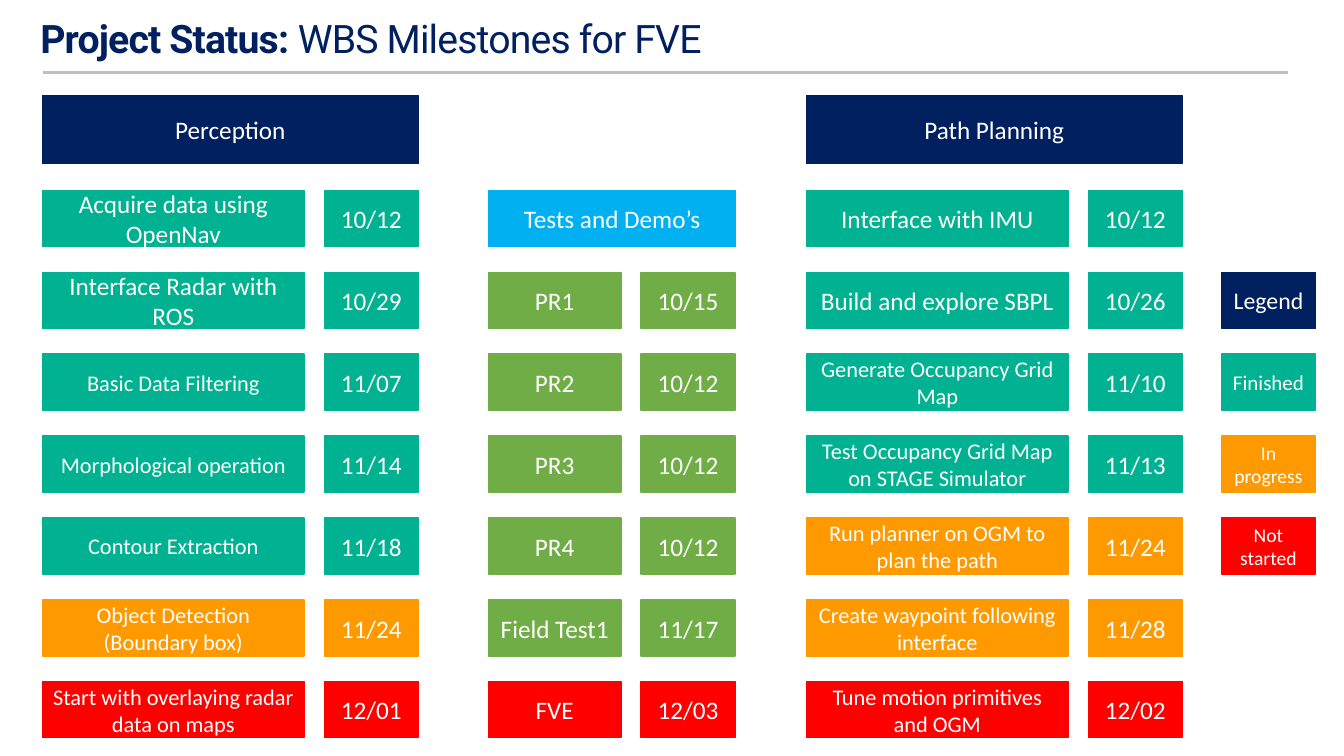
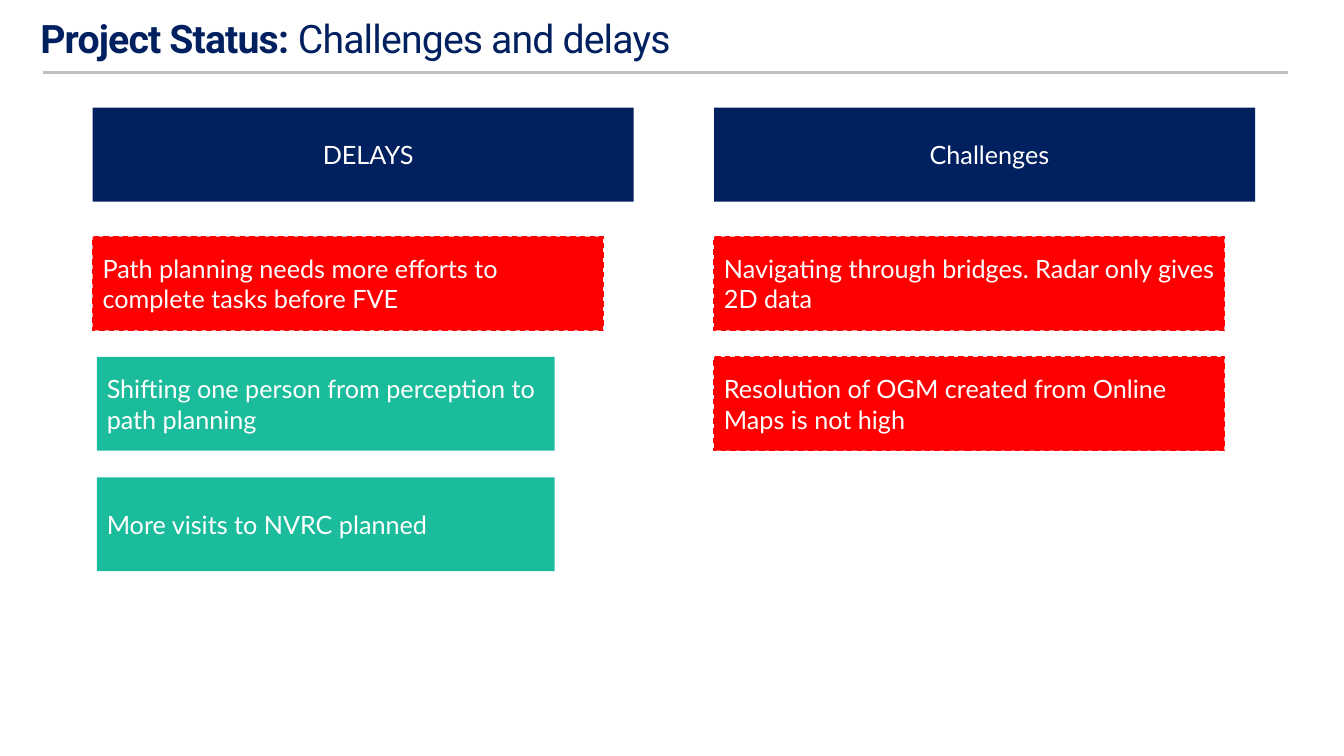
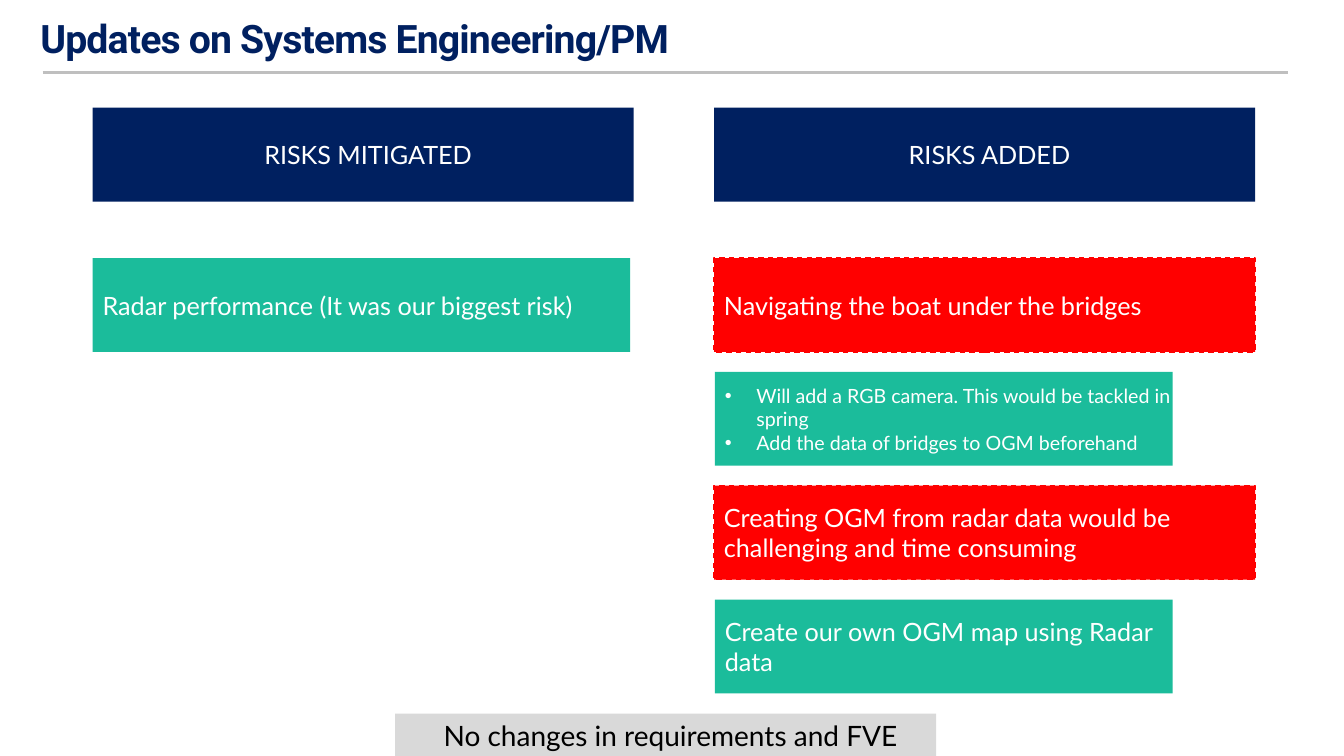
from dataclasses import dataclass

from lxml import etree
from pptx import Presentation
from pptx.dml.color import RGBColor
from pptx.enum import dml, shapes, text
from pptx.oxml import ns
from pptx.util import Pt


@dataclass(frozen=True)
class Theme:
    navy: str = "002060"
    green: str = "00B192"
    teal: str = "1BBC9B"
    olive: str = "70AD47"
    sky: str = "00B0F0"
    orange: str = "FF9900"
    red: str = "FF0000"
    grey: str = "D9D9D9"
    rule: str = "BFBFBF"
    white: str = "FFFFFF"
    black: str = "000000"
    title_font: str = "Roboto"
    tile_font: str = "Calibri"
    card_font: str = "Lato"
    title_size: int = 28
    note_size: int = 20
    body_size: int = 18
    task_size: int = 16
    list_size: int = 14


theme = Theme()
deck = Presentation()
deck.slide_width, deck.slide_height = Pt(960), Pt(540)


def start_page(strong, plain=""):
    """Add a page with its title, bold then regular, and the rule below it."""
    page = deck.slides.add_slide(deck.slide_layouts[5])
    title = page.shapes.title
    title.left, title.top, title.width, title.height = Pt(3.6), Pt(0), Pt(811.5), Pt(51)
    frame = title.text_frame
    frame.auto_size = text.MSO_AUTO_SIZE.NONE
    frame.word_wrap = True
    frame.vertical_anchor = text.MSO_ANCHOR.MIDDLE
    frame.margin_left, frame.margin_top = Pt(25.2), Pt(12.25)
    frame.margin_right = frame.margin_bottom = Pt(4.3)
    para = frame.paragraphs[0]
    para.alignment = text.PP_ALIGN.LEFT
    para.line_spacing = 0.9
    for words, bold in ((strong, True), (plain, False)):
        if words:
            span = para.add_run()
            span.text = words
            span.font.name, span.font.size, span.font.bold = theme.title_font, Pt(theme.title_size), bold
            span.font.color.rgb = RGBColor.from_string(theme.navy)
            span.font._element.set("spc", "-60")

    rule = page.shapes.add_connector(
        shapes.MSO_CONNECTOR.STRAIGHT, Pt(30.5), Pt(51.8), Pt(920), Pt(51.8))
    rule.line.color.rgb = RGBColor.from_string(theme.rule)
    rule.line.width = Pt(1.75)
    etree.SubElement(rule.element.spPr, ns.qn("a:effectLst"))
    return page


def add_block(page, label, left, top, width, height, fill, size=theme.body_size,
              card=False, centred=True, ink=theme.white):
    """Add a labelled rectangle: an outlined tile, or a card with a left inset."""
    box = page.shapes.add_shape(
        shapes.MSO_SHAPE.RECTANGLE, Pt(left), Pt(top), Pt(width), Pt(height))
    box.shadow.inherit = False
    box.fill.solid()
    box.fill.fore_color.rgb = RGBColor.from_string(fill)
    if card and fill != theme.red:
        box.line.fill.background()
    else:
        box.line.color.rgb = RGBColor.from_string(fill)
        box.line.width = Pt(1)
        if card:
            box.line.dash_style = dml.MSO_LINE.DASH
    frame = box.text_frame
    frame.word_wrap = True
    frame.vertical_anchor = text.MSO_ANCHOR.MIDDLE
    if card:
        frame.margin_left = Pt(7.2)
        frame.margin_top = frame.margin_right = frame.margin_bottom = 0
    frame.text = label
    for para in frame.paragraphs:
        para.alignment = text.PP_ALIGN.CENTER if centred else text.PP_ALIGN.LEFT
        for span in para.runs:
            span.font.name = theme.card_font if card else theme.tile_font
            span.font.size = Pt(size)
            span.font.color.rgb = RGBColor.from_string(ink)
    return box


# Milestones
page = start_page("Project Status: ", "WBS Milestones for FVE")
first_row, row_step, tile_height, date_width = 136, 58.5, 40, 67
row_tops = [first_row + row_step * row for row in range(7)]

tracks = [
    ("Perception", 30.3, [
        ("Acquire data using OpenNav", "10/12", theme.green),
        ("Interface Radar with ROS", "10/29", theme.green),
        ("Basic Data Filtering", "11/07", theme.green),
        ("Morphological operation", "11/14", theme.green),
        ("Contour Extraction", "11/18", theme.green),
        ("Object Detection (Boundary box)", "11/24", theme.orange),
        ("Start with overlaying radar data on maps", "12/01", theme.red),
    ]),
    ("Path Planning", 576, [
        ("Interface with IMU", "10/12", theme.green),
        ("Build and explore SBPL", "10/26", theme.green),
        ("Generate Occupancy Grid Map", "11/10", theme.green),
        ("Test Occupancy Grid Map on STAGE Simulator", "11/13", theme.green),
        ("Run planner on OGM to plan the path", "11/24", theme.orange),
        ("Create waypoint following interface", "11/28", theme.orange),
        ("Tune motion primitives and OGM", "12/02", theme.red),
    ]),
]
for heading, left, tasks in tracks:
    add_block(page, heading, left, 68.4, 268.5, 48.5, theme.navy)
    for row, (task, date, status) in enumerate(tasks):
        size = theme.body_size if row < 2 else theme.task_size
        add_block(page, task, left, row_tops[row], 187, tile_height, status, size)
        add_block(page, date, left + 201.5, row_tops[row], date_width, tile_height, status)

tests_left = 349
add_block(page, "Tests and Demo’s", tests_left, first_row, 176.5, tile_height, theme.sky)
tests = [("PR1", "10/15"), ("PR2", "10/12"), ("PR3", "10/12"),
         ("PR4", "10/12"), ("Field Test1", "11/17"), ("FVE", "12/03")]
for top, (test, date) in zip(row_tops[1:], tests):
    status = theme.red if test == "FVE" else theme.olive
    add_block(page, test, tests_left, top, 94.5, tile_height, status)
    add_block(page, date, tests_left + 109, top, date_width, tile_height, status)

legend = [("Legend", theme.navy, 17), ("Finished", theme.green, 15),
          ("In progress", theme.orange, 14), ("Not started", theme.red, 14)]
for top, (label, status, size) in zip(row_tops[1:], legend):
    add_block(page, label, 872.6, top, date_width, tile_height, status, size)

# Two-column pages of cards: each card is (text, left, width, fill)
left_column, right_column, column_width, card_height = 66.2, 510, 386.5, 67
reply_width, issue_width = 327, 364.5
bullet_text = ("Will add a RGB camera. This would be tackled in spring\n"
               "Add the data of bridges to OGM beforehand")
card_pages = [
    (("Project Status: ", "Challenges and delays"), 169, 86, [
        ("DELAYS", left_column, [
            ("Path planning needs more efforts to complete tasks before FVE",
             left_column, issue_width, theme.red),
            ("Shifting one person from perception to path planning",
             left_column + 3, reply_width, theme.teal),
            ("More visits to NVRC planned", left_column + 3, reply_width, theme.teal),
        ]),
        ("Challenges", right_column, [
            ("Navigating through bridges. Radar only gives 2D data",
             right_column, issue_width, theme.red),
            ("Resolution of OGM created from Online Maps is not high",
             right_column, issue_width, theme.red),
        ]),
    ]),
    (("Updates on Systems Engineering/PM",), 184.4, 81.3, [
        ("RISKS MITIGATED", left_column, [
            ("Radar performance (It was our biggest risk)",
             left_column, 384, theme.teal),
        ]),
        ("RISKS ADDED", right_column, [
            ("Navigating the boat under the bridges",
             right_column, column_width, theme.red),
            (bullet_text, right_column + 0.7, reply_width, theme.teal),
            ("Creating OGM from radar data would be challenging and time consuming",
             right_column, column_width, theme.red),
            ("Create our own OGM map using Radar data",
             right_column + 0.7, reply_width, theme.teal),
        ]),
    ]),
]
for title_parts, first_top, step, columns in card_pages:
    page = start_page(*title_parts)
    for heading, column_left, cards in columns:
        add_block(page, heading, column_left, 77, column_width, card_height,
                  theme.navy, card=True)
        for row, (label, left, width, fill) in enumerate(cards):
            bulleted = label == bullet_text
            box = add_block(page, label, left, first_top + step * row, width, card_height, fill,
                            theme.list_size if bulleted else theme.body_size,
                            card=True, centred=False)
            if bulleted:
                for para in box.text_frame.paragraphs:
                    props = para._p.get_or_add_pPr()
                    props.set("marL", str(Pt(22.5)))
                    props.set("indent", str(-Pt(22.5)))
                    etree.SubElement(props, ns.qn("a:buFont")).set("typeface", "Arial")
                    etree.SubElement(props, ns.qn("a:buChar")).set("char", "•")

add_block(page, "No changes in requirements and FVE", 282.2, 509.8, column_width, 30.2,
          theme.grey, theme.note_size, card=True, ink=theme.black)

deck.save("out.pptx")
